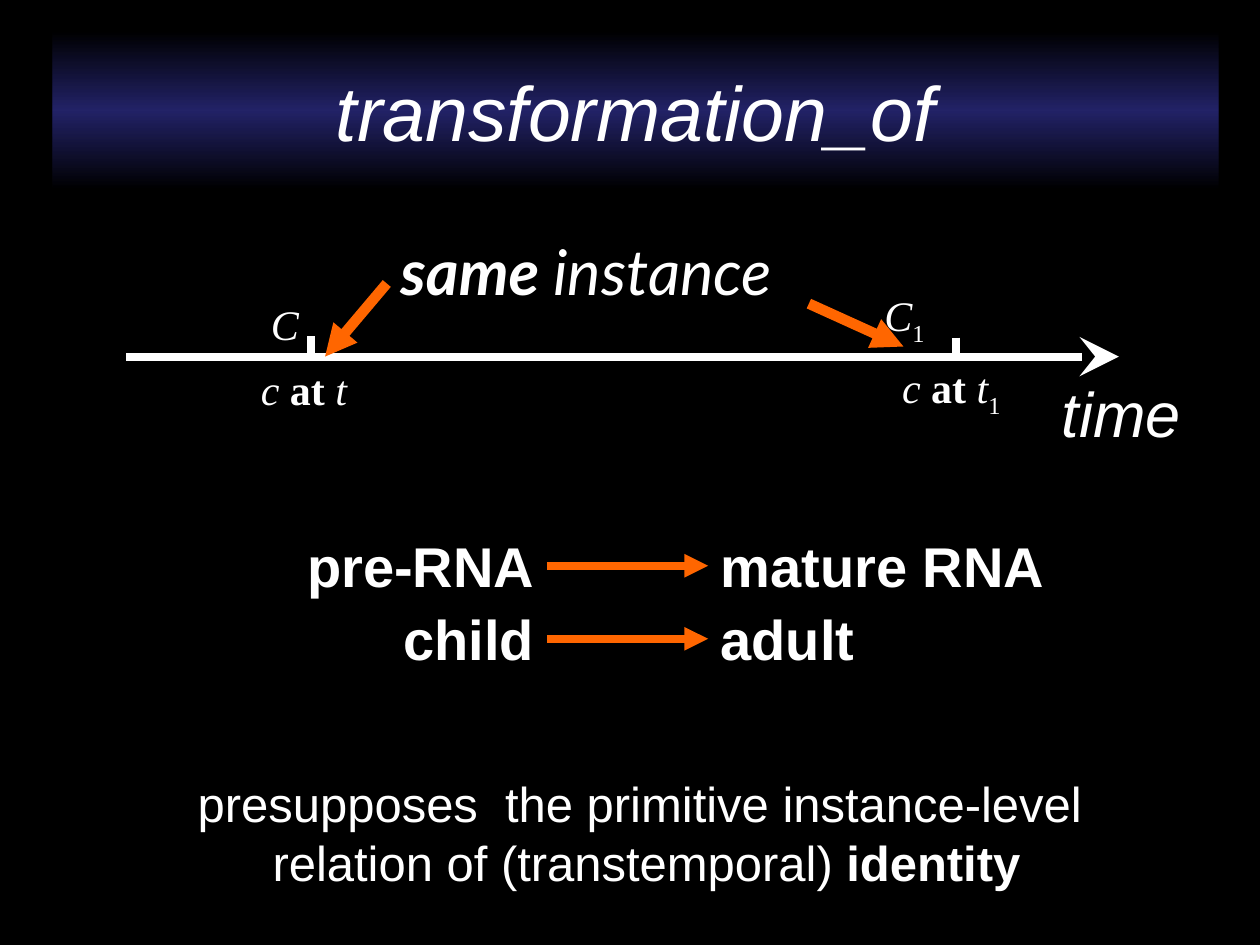
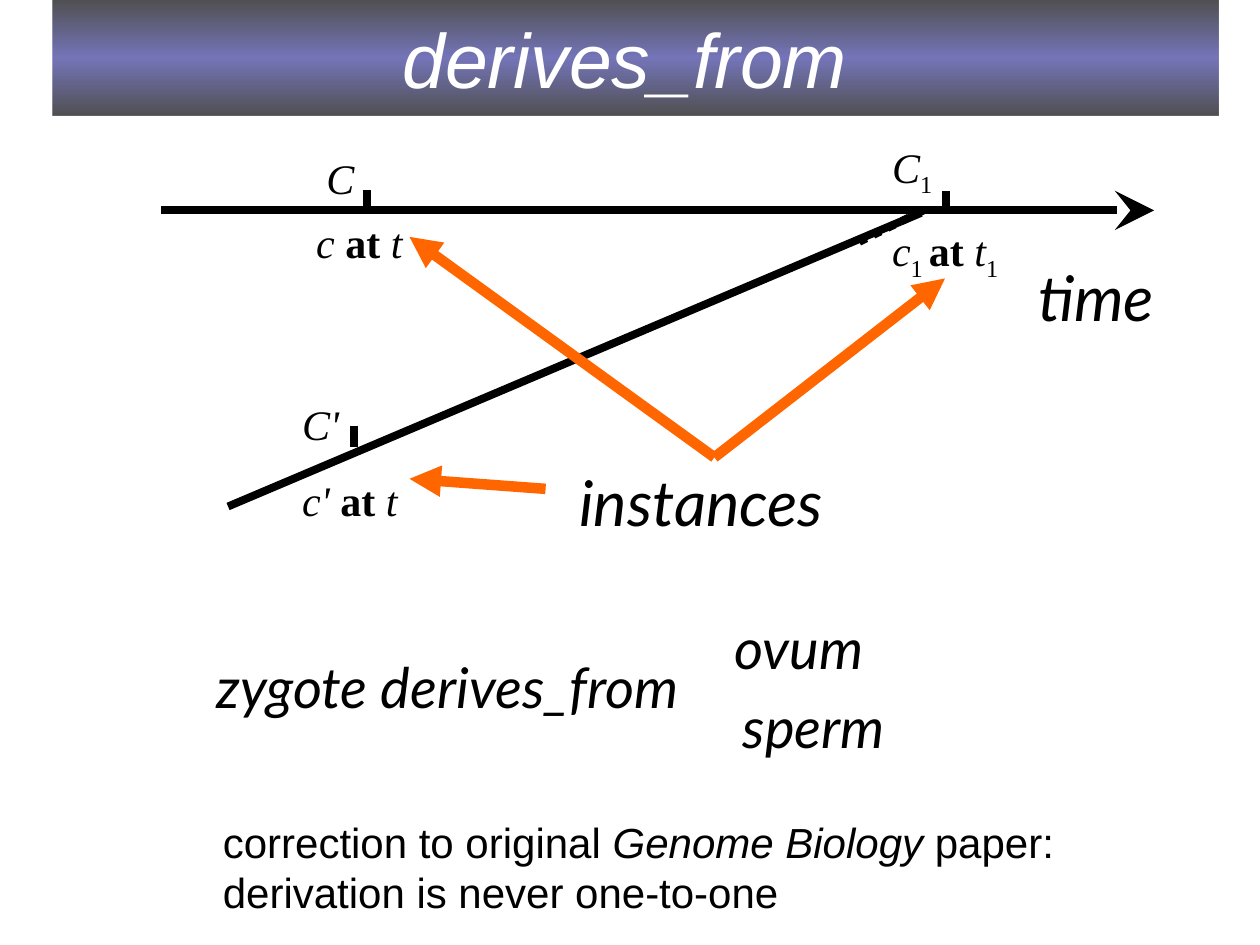
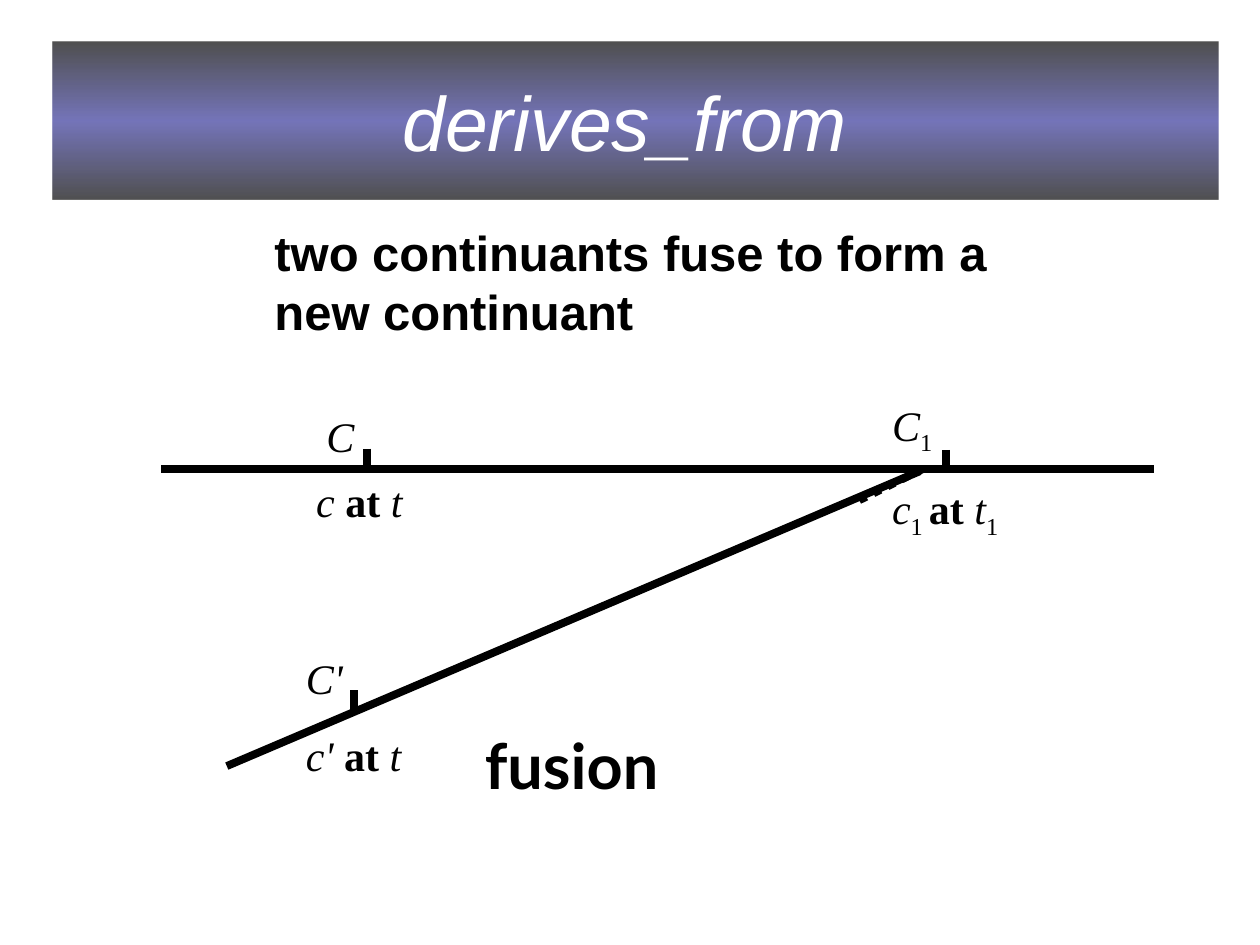
"""Build three slides on the transformation_of and derives_from relations."""
import pptx
import pptx.dml.color
import pptx.enum.dml
import pptx.enum.shapes
import pptx.enum.text
import pptx.oxml
import pptx.oxml.ns
import pptx.util

Inches = pptx.util.Inches
Pt = pptx.util.Pt
RGBColor = pptx.dml.color.RGBColor
ALIGN = pptx.enum.text.PP_ALIGN
NAMESPACE = pptx.oxml.ns.nsdecls("a")
COLORS = {"black": "000000", "white": "FFFFFF", "orange": "FF6600", "band": "333399"}
SERIF = "Times New Roman"

BAND_STOPS = "".join(
    f'<a:gs pos="{position}000"><a:srgbClr val="{COLORS[name]}"><a:alpha val="{alpha}000"/></a:srgbClr></a:gs>'
    for position, name, alpha in [(0, "black", 68), (50, "band", 67), (100, "black", 68)]
)
BAND_FILL = f'<a:gradFill {NAMESPACE} rotWithShape="1"><a:gsLst>{BAND_STOPS}</a:gsLst><a:lin ang="5400000" scaled="1"/></a:gradFill>'


def write_text(shape, paragraphs, size=24, font="Arial", color="black", align=ALIGN.LEFT,
               after=0, indent=0, inset=0.1, wrap=True, anchor="TOP"):
    """Fill a shape with paragraphs of (text, style) runs; style letters are b, i and s for subscript."""
    frame = shape.text_frame
    frame.word_wrap = wrap
    frame.auto_size = pptx.enum.text.MSO_AUTO_SIZE.NONE
    frame.vertical_anchor = pptx.enum.text.MSO_ANCHOR[anchor]
    frame.margin_left = frame.margin_right = Inches(inset)
    frame.margin_top = frame.margin_bottom = Inches(inset / 2)
    for index, runs in enumerate(paragraphs):
        paragraph = frame.add_paragraph() if index else frame.paragraphs[0]
        paragraph.alignment = align
        paragraph.space_before = Pt(0)
        paragraph.space_after = Pt(after)
        if indent and index == 0:
            paragraph._p.get_or_add_pPr().set("marL", str(Inches(indent)))
        for text, style in runs:
            run = paragraph.add_run()
            run.text = text
            run.font.size = Pt(size)
            run.font.name = font
            run.font.bold = "b" in style
            run.font.italic = "i" in style
            run.font.color.rgb = RGBColor.from_string(COLORS[color])
            if "s" in style:
                run.font._element.set("baseline", "-25000")
    return shape


def add_line(slide, start, end, color="black", width=4.5, arrow=None, arrow_size="med", dotted=False):
    """Add a straight connector, with an optional arrowhead at its end."""
    line = slide.shapes.add_connector(pptx.enum.shapes.MSO_CONNECTOR.STRAIGHT,
                                      *[Inches(value) for value in (*start, *end)])
    line.line.color.rgb = RGBColor.from_string(COLORS[color])
    line.line.width = Pt(width)
    if dotted:
        line.line.dash_style = pptx.enum.dml.MSO_LINE.ROUND_DOT
    if arrow:
        line.line._get_or_add_ln().append(pptx.oxml.parse_xml(
            f'<a:tailEnd {NAMESPACE} type="{arrow}" w="{arrow_size}" len="{arrow_size}"/>'))
    line._element.spPr.append(pptx.oxml.parse_xml(f"<a:effectLst {NAMESPACE}/>"))
    return line


presentation = pptx.Presentation()
presentation.slide_width = Inches(10)
presentation.slide_height = Inches(7.5)

# title, band top, band height, background, ink, time axis (left, right, top), arrow, tick at t
slide_plans = [
    ("transformation_of", 0.25, 1.25, "black", "white", (1, 8.88, 2.83), "stealth", 2.47),
    ("derives_from ", 0, 0.92, "white", "black", (1.28, 9.16, 1.67), "stealth", 2.91),
    ("derives_from ", 0.33, 1.25, "white", "black", (1.28, 9.16, 3.72), None, 2.91),
]
slides = []
for title, band_top, band_height, background, ink, axis, arrow, tick in slide_plans:
    slide = presentation.slides.add_slide(presentation.slide_layouts[5])
    slides.append(slide)
    slide.background.fill.solid()
    slide.background.fill.fore_color.rgb = RGBColor.from_string(COLORS[background])
    band = slide.shapes.title
    band.left, band.top, band.width, band.height = [
        Inches(value) for value in (0.42, band_top, 9.25, band_height)]
    band._element.spPr.append(pptx.oxml.parse_xml(BAND_FILL))
    write_text(band, [[(title, "i")]], size=44, color="white", align=ALIGN.CENTER, anchor="MIDDLE")

    left, right, top = axis
    add_line(slide, (left, top), (right, top), ink, arrow=arrow, arrow_size="lg")
    add_line(slide, (tick, top - 0.16), (tick, top), ink)
    label = slide.shapes.add_textbox(Inches(tick - 0.48), Inches(top - 0.5), Inches(1.06), Inches(1.12))
    write_text(label, [[("C", "i")], [("c ", "i"), ("at ", "b"), ("t", "i")]],
               font=SERIF, color=ink, after=8, indent=0.08, inset=0.08)

transformation, derivation, fusion = slides

# Fusing branch of the two derivation slides
for slide, axis_top, branch_left, branch_bottom, tick_top, label_left, label_top in [
    (derivation, 1.67, 1.81, 4.02, 3.38, 2.3, 3.11),
    (fusion, 3.72, 1.8, 6.08, 5.48, 2.33, 5.13),
]:
    add_line(slide, (branch_left, branch_bottom), (branch_left + 5.5, axis_top + 0.02))
    add_line(slide, (6.82, axis_top + 0.25), (7.33, axis_top), dotted=True)
    add_line(slide, (7.51, axis_top - 0.15), (7.51, axis_top))
    add_line(slide, (2.81, tick_top), (2.81, tick_top + 0.17))
    label = slide.shapes.add_textbox(Inches(7), Inches(axis_top - 0.59), Inches(1.2), Inches(1.34))
    write_text(label, [[("C", "i"), ("1", "s")],
                       [("c", "i"), ("1 ", "s"), ("at ", "b"), ("t", "i"), ("1", "s")]],
               font=SERIF, after=15, inset=0.08)
    label = slide.shapes.add_textbox(Inches(label_left), Inches(label_top), Inches(1.67), Inches(1.11))
    write_text(label, [[("C'", "i")], [("c' ", "i"), ("at ", "b"), ("t", "i")]], font=SERIF, after=15)

# Remaining texts: slide, box, paragraphs, format
serif_white = {"font": SERIF, "color": "white"}
lato_example = {"size": 32, "font": "Lato", "wrap": False}
for slide, box, paragraphs, text_format in [
    (transformation, (7.08, 2.83, 1.2, 0.51),
     [[("c ", "i"), ("at ", "b"), ("t", "i"), ("1", "s")]], {**serif_white, "inset": 0.08}),
    (transformation, (6.92, 2.25, 1.42, 0.56), [[("C", "i"), ("1", "s")]], serif_white),
    (transformation, (8.33, 2.92, 1.6, 0.7), [[("time", "i")]], {"size": 36, "color": "white"}),
    (transformation, (3.08, 1.8, 3.83, 0.7), [[("same ", "bi"), ("instance", "i")]],
     {"size": 36, "font": "Lato", "color": "white"}),
    (transformation, (1.47, 6.09, 7.32, 1.04),
     [[("presupposes  the primitive instance-level ", "")],
      [("relation of (transtemporal) ", ""), ("identity", "b")]],
     {"size": 28, "color": "white", "align": ALIGN.CENTER, "wrap": False}),
    (derivation, (8.14, 2, 1.18, 0.7), [[("time", "i")]], {"size": 36, "font": "Lato", "wrap": False}),
    (derivation, (4.5, 3.63, 3.42, 0.7), [[("instances", "i")]], {"size": 36, "font": "Lato"}),
    (derivation, (1.49, 5.13, 4.13, 0.64), [[("zygote derives_from", "i")]],
     {**lato_example, "align": ALIGN.CENTER}),
    (derivation, (5.73, 4.82, 1.3, 0.64), [[("ovum", "i")]], lato_example),
    (derivation, (5.74, 5.45, 1.44, 0.64), [[("sperm", "i")]], {**lato_example, "align": ALIGN.CENTER}),
    (derivation, (1.67, 6.43, 7.25, 0.9),
     [[("correction to original ", ""), ("Genome Biology ", "i"),
       ("paper: derivation is never one-to-one", "")]], {}),
    (fusion, (2.08, 1.72, 6.08, 1.03), [[("two continuants fuse to form a new continuant", "b")]], {"size": 28}),
    (fusion, (3.75, 5.72, 3.75, 0.7), [[("fusion", "b")]], {"size": 36, "font": "Lato"}),
]:
    textbox = slide.shapes.add_textbox(*[Inches(value) for value in box])
    write_text(textbox, paragraphs, **text_format)

add_line(transformation, (7.59, 2.68), (7.59, 2.85), "white")

# Examples of transformation, each pair joined by an arrow
for top, before, before_width, later, later_width in [
    (4.17, "pre-RNA", 2, "mature RNA", 2.77),
    (4.75, "child", 1.24, "adult", 1.26),
]:
    pair = []
    for text, left, width in [(before, 4.34 - before_width, before_width), (later, 5.62, later_width)]:
        textbox = transformation.shapes.add_textbox(Inches(left), Inches(top), Inches(width), Inches(0.64))
        pair.append(write_text(textbox, [[(text, "b")]], size=32, color="white",
                               align=ALIGN.CENTER, wrap=False))
    connector = add_line(transformation, (4.34, top + 0.32), (5.62, top + 0.32), "orange", arrow="triangle")
    connector.begin_connect(pair[0], 3)
    connector.end_connect(pair[1], 1)

# Pointers from the word for the instances to each instance
for slide, start, end in [
    (transformation, (6.42, 2.41), (7.17, 2.75)),
    (transformation, (3.07, 2.25), (2.58, 2.83)),
    (derivation, (5.67, 3.63), (7.5, 2.21)),
    (derivation, (5.67, 3.63), (3.25, 1.88)),
    (derivation, (4.33, 3.88), (3.25, 3.8)),
]:
    add_line(slide, start, end, "orange", 6, arrow="triangle")

presentation.save("out.pptx")
